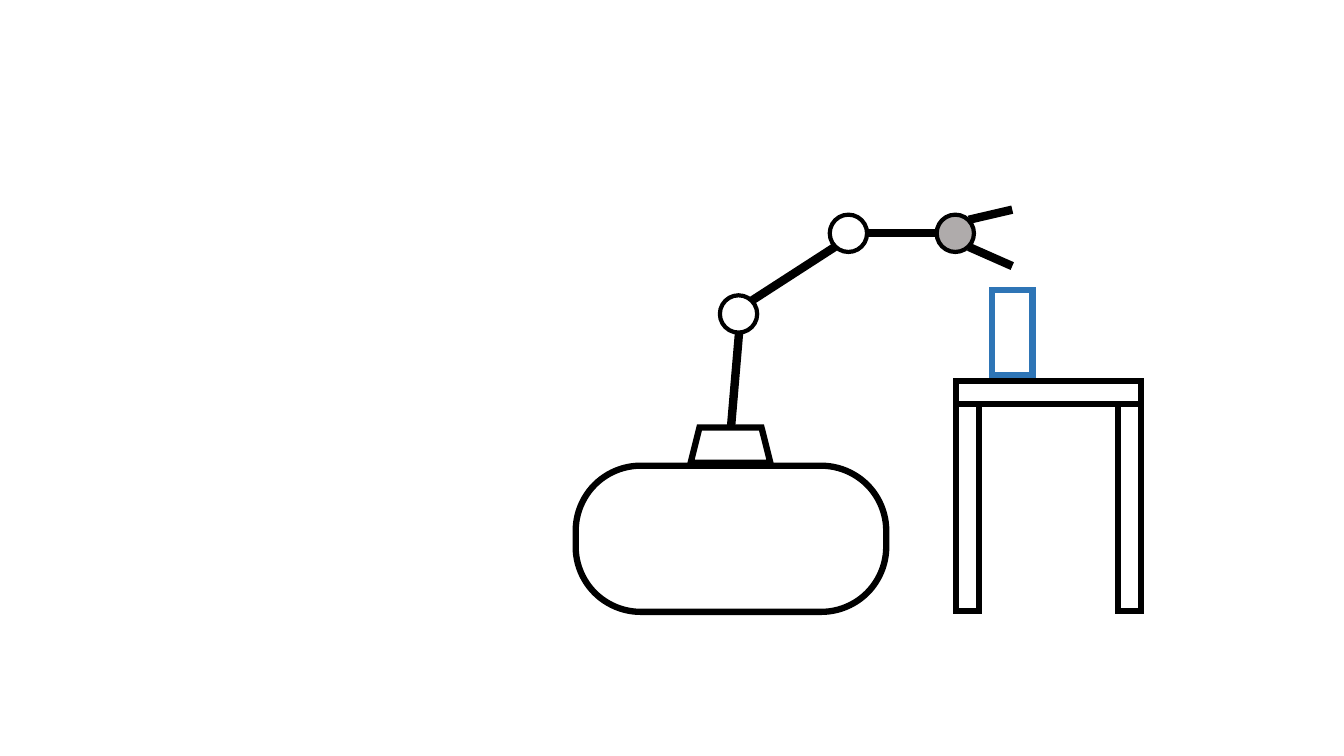
from dataclasses import dataclass
from lxml import etree
from pptx import Presentation
from pptx.dml.color import RGBColor
from pptx.enum.shapes import MSO_CONNECTOR, MSO_SHAPE
from pptx.oxml.ns import qn
from pptx.util import Inches, Pt

RECT = MSO_SHAPE.RECTANGLE
ROUND = MSO_SHAPE.ROUNDED_RECTANGLE
TRAP = MSO_SHAPE.TRAPEZOID
OVAL = MSO_SHAPE.OVAL
LINE = MSO_CONNECTOR.STRAIGHT


@dataclass(frozen=True)
class Theme:
    ink: str = "000000"
    paper: str = "FFFFFF"
    blue: str = "2E75B6"
    grey: str = "AFABAB"
    body: float = 4.5
    joint: float = 3
    link: float = 6


theme = Theme()

# Content: table, box and robot, in inches
desk = dict(left=9.48, top=3.78, width=1.84, slab=0.23, leg=0.23, drop=2.05)
box = (9.84, 2.88, 0.4, 0.84)
base = (5.71, 4.62, 3.08, 1.45)
mount = (6.85, 4.24, 0.79, 0.35)
size = 0.37
# Arm from back to front: a link has two ends, a joint a corner and a fill
arm = [
    ("link", (7.25, 4.24), (7.33, 3.3)),
    ("joint", (7.14, 2.93), theme.paper),
    ("link", (7.46, 2.98), (8.28, 2.45)),
    ("joint", (8.23, 2.13), theme.paper),
    ("link", (9.29, 2.31), (8.6, 2.31)),
    ("link", (10.04, 2.64), (9.61, 2.45)),
    ("joint", (9.29, 2.13), theme.grey),
    ("link", (10.04, 2.08), (9.61, 2.18)),
]


def color(code):
    return RGBColor.from_string(code)


def draw(shapes, kind, place, fill=None, line=theme.ink, width=theme.body):
    shape = shapes.add_shape(kind, *map(Inches, place))
    shape.shadow.inherit = False
    if fill:
        shape.fill.solid()
        shape.fill.fore_color.rgb = color(fill)
    else:
        shape.fill.background()
    shape.line.color.rgb = color(line)
    shape.line.width = Pt(width)
    # Sharp corners
    edge = shape.line._get_or_add_ln()
    etree.SubElement(edge, qn("a:miter")).set("lim", "800000")
    return shape


def join(shapes, start, end):
    link = shapes.add_connector(LINE, *map(Inches, start + end))
    link.line.color.rgb = color(theme.ink)
    link.line.width = Pt(theme.link)
    etree.SubElement(link._element.spPr, qn("a:effectLst"))


deck = Presentation()
deck.slide_width, deck.slide_height = Inches(13.33), Inches(7.5)
slide = deck.slides.add_slide(deck.slide_layouts[6])
shapes = slide.shapes

# Table: left leg, slab, right leg
table = shapes.add_group_shape().shapes
left, top, width = desk["left"], desk["top"], desk["width"]
slab, leg = desk["slab"], desk["leg"]
for x, y, w, h in [
    (left, top + slab, leg, desk["drop"]),
    (left, top, width, slab),
    (left + width - leg, top + slab, leg, desk["drop"]),
]:
    draw(table, RECT, (x, y, w, h), fill=theme.paper)

# Box on the table
draw(shapes, RECT, box, fill=theme.paper, line=theme.blue)

# Robot base and mount
draw(shapes, ROUND, base).adjustments[0] = 0.445
draw(shapes, TRAP, mount)

# Arm and gripper
for kind, spot, other in arm:
    if kind == "link":
        join(shapes, spot, other)
    else:
        draw(shapes, OVAL, spot + (size, size), fill=other, width=theme.joint)

deck.save("out.pptx")
